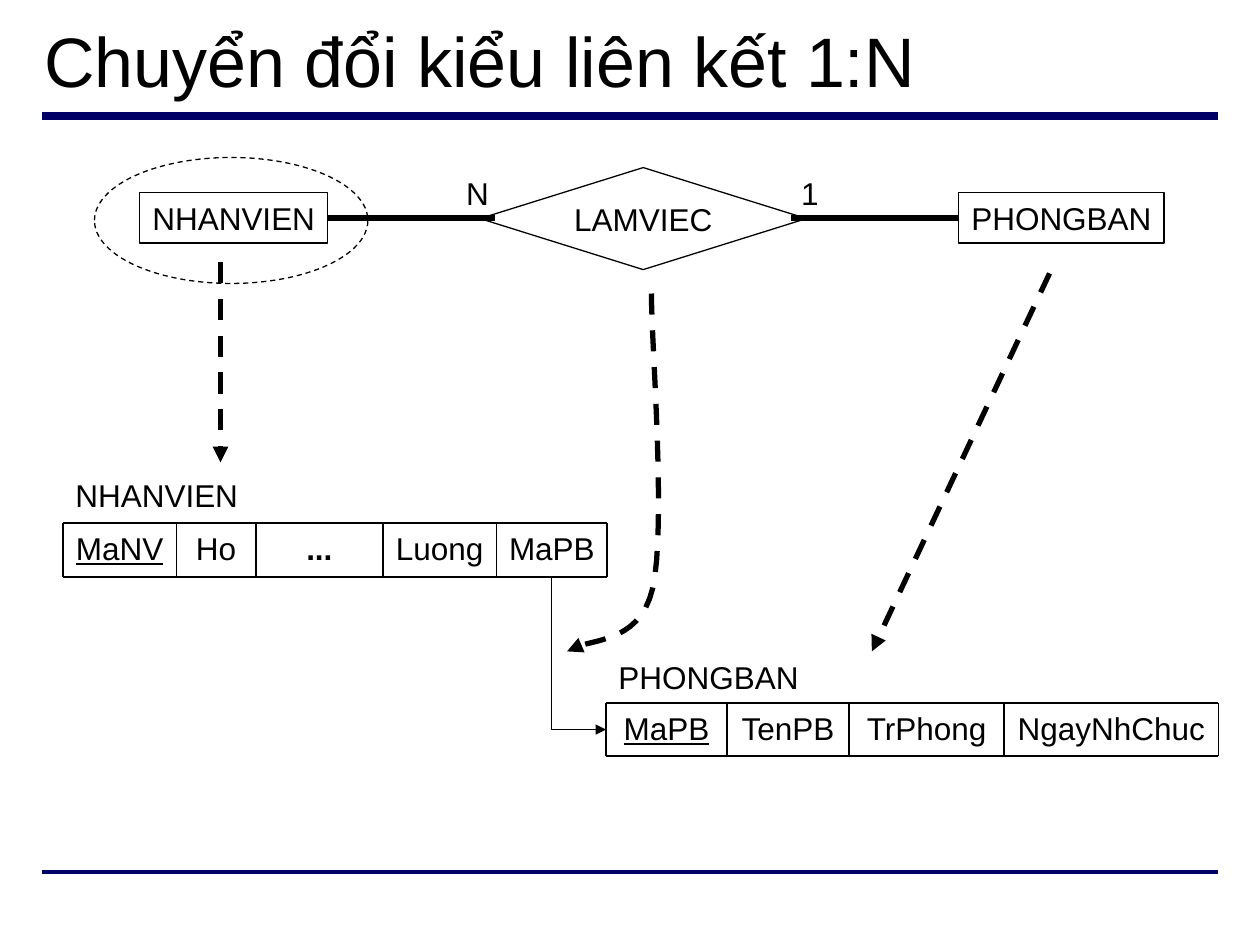
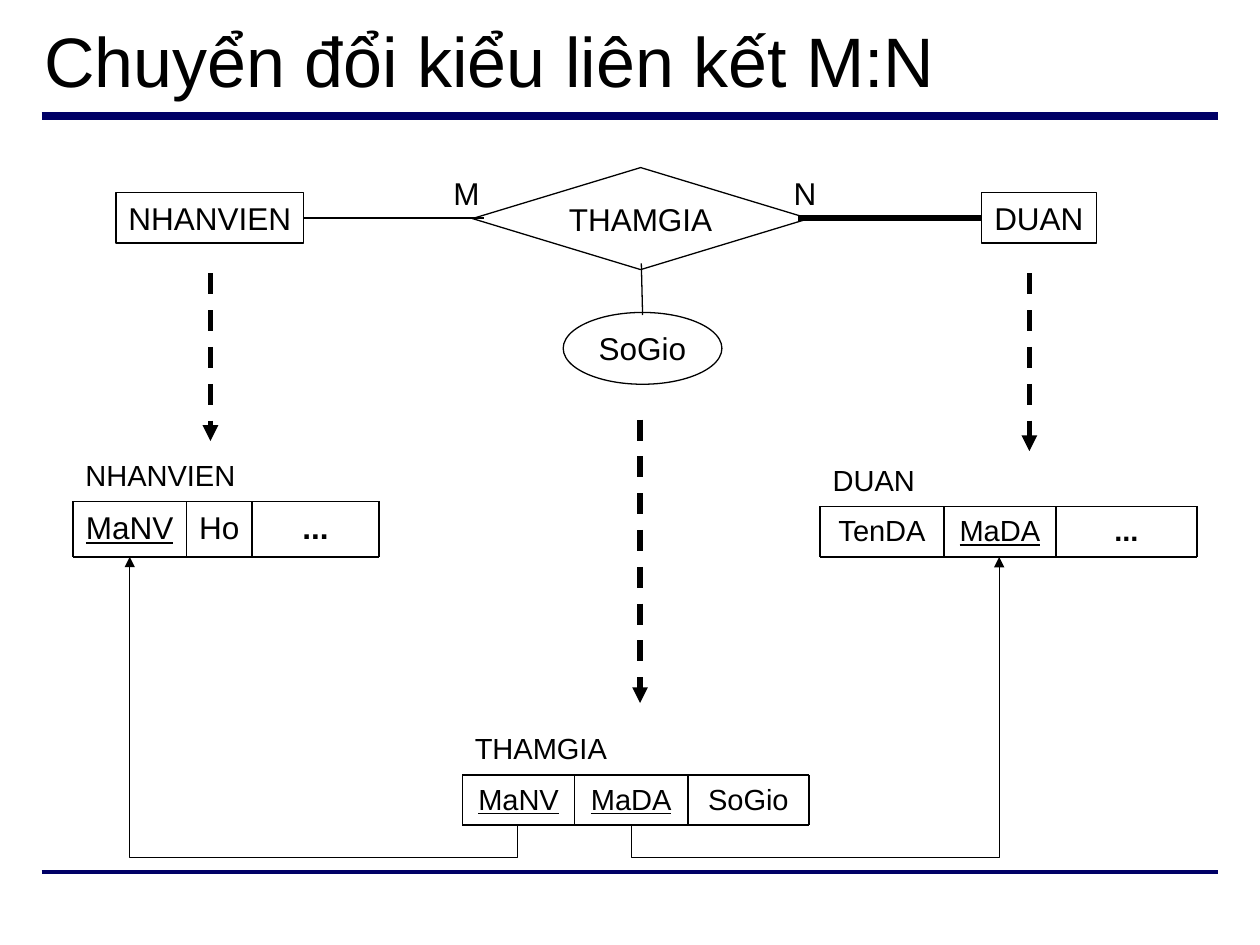
"""Draw two slides that map 1:N and M:N relationships to relation schemas."""
from dataclasses import dataclass
from itertools import accumulate
from typing import NamedTuple

from lxml.etree import SubElement
from pptx import Presentation
from pptx.dml.color import RGBColor
from pptx.enum.dml import MSO_LINE
from pptx.enum.shapes import MSO_CONNECTOR, MSO_SHAPE
from pptx.enum.text import MSO_ANCHOR, MSO_AUTO_SIZE, PP_ALIGN
from pptx.oxml.ns import qn
from pptx.util import Inches, Pt

WIDE, HIGH = Inches(10), Inches(7.5)
COLS, ROWS = 100, 75
FONT, INK, NAVY, WHITE = "Arial", "000000", "000066", "FFFFFF"
THIN, EDGE, THICK = 0.75, 1, 3
BOX, GEM, OVAL = MSO_SHAPE.RECTANGLE, MSO_SHAPE.DIAMOND, MSO_SHAPE.OVAL
TOP, LEFT, BOTTOM, RIGHT = range(4)
STEPS = 16


class Spot(NamedTuple):
    x: float
    y: float


class Area(NamedTuple):
    x: float
    y: float
    w: float
    h: float


class Cell(NamedTuple):
    text: str
    wide: float
    key: bool = False


@dataclass
class Node:
    kind: MSO_SHAPE
    area: Area
    text: str = ""
    fill: str = ""
    dash: bool = False


@dataclass
class Link:
    start: Spot
    end: Spot
    width: float = THICK
    color: str = INK
    dash: bool = False
    arrow: bool = False


@dataclass
class Schema:
    name: str
    spot: Spot
    high: float
    cells: tuple[Cell, ...]
    tag: Area
    size: float = 18
    head: float = 18


@dataclass
class Elbow:
    start: Spot
    end: Spot
    bend: float | None = None


def col(n: float) -> int:
    return round(WIDE * n / COLS)


def row(n: float) -> int:
    return round(HIGH * n / ROWS)


def frame(area: Area) -> tuple[int, int, int, int]:
    return col(area.x), row(area.y), col(area.w), row(area.h)


def paint(part, color: str) -> None:
    part.rgb = RGBColor.from_string(color)


def write(shape, text: str, size: float = 18, align=PP_ALIGN.LEFT,
          anchor=MSO_ANCHOR.TOP, wrap: bool = True, under: bool = False) -> None:
    body = shape.text_frame
    body.word_wrap, body.auto_size = wrap, MSO_AUTO_SIZE.NONE
    body.vertical_anchor = anchor
    par = body.paragraphs[0]
    par.alignment = align
    run = par.add_run()
    run.text = text
    run.font.name, run.font.size = FONT, Pt(size)
    run.font.bold, run.font.underline = text == "...", under
    paint(run.font.color, INK)


def label(slide, area: Area, text: str, **style) -> None:
    write(slide.shapes.add_textbox(*frame(area)), text, **style)


def stroke(shape, width: float, color: str = INK, dash: bool = False,
           arrow: bool = False) -> None:
    shape.line.width = Pt(width)
    shape.line.fill.solid()
    paint(shape.line.color, color)
    if dash:
        shape.line.dash_style = MSO_LINE.DASH
    if arrow:
        line = shape.element.spPr.find(qn("a:ln"))
        SubElement(line, qn("a:tailEnd"), type="triangle")


def wire(slide, link: Link, kind=MSO_CONNECTOR.STRAIGHT):
    line = slide.shapes.add_connector(
        kind, col(link.start.x), row(link.start.y), col(link.end.x), row(link.end.y))
    stroke(line, link.width, link.color, link.dash, link.arrow)
    SubElement(line.element.spPr, qn("a:effectLst"))
    return line


def turn(slide, bend: Elbow) -> None:
    a, b = bend.start, bend.end
    mid = Spot((a.x + b.x) / 2, (a.y + b.y) / 2)
    ends = [Spot(mid.x + mid.y - p.y, mid.y + p.x - mid.x) for p in (a, b)]
    line = wire(slide, Link(*ends, THIN, arrow=True), MSO_CONNECTOR.ELBOW)
    line.rotation = 270
    geom = line.element.spPr.find(qn("a:prstGeom"))
    if bend.bend is None:
        geom.set("prst", "bentConnector2")
    else:
        guides = geom.find(qn("a:avLst"))
        SubElement(guides, qn("a:gd"), name="adj1",
                   fmla=f"val {round(bend.bend * 100000)}")


def place(slide, node: Node):
    shape = slide.shapes.add_shape(node.kind, *frame(node.area))
    shape.shadow.inherit = False
    if node.fill:
        shape.fill.solid()
        paint(shape.fill.fore_color, node.fill)
    else:
        shape.fill.background()
    stroke(shape, THIN, dash=node.dash)
    if node.text:
        write(shape, node.text, align=PP_ALIGN.CENTER,
              anchor=MSO_ANCHOR.MIDDLE, wrap=False)
    return shape


def table(slide, plan: Schema) -> None:
    x, y = plan.spot
    low = y + plan.high
    edges = list(accumulate((c.wide for c in plan.cells), initial=x))
    for cell, left in zip(plan.cells, edges):
        label(slide, Area(left, y, cell.wide, plan.high), cell.text,
              size=plan.size, align=PP_ALIGN.CENTER, under=cell.key)
    label(slide, plan.tag, plan.name, size=plan.head)
    rules = [(Spot(x, n), Spot(edges[-1], n)) for n in (y, low)]
    rules += [(Spot(n, y), Spot(n, low)) for n in edges]
    for start, end in rules:
        wire(slide, Link(start, end, EDGE))


def curve(slide, start: Spot, bends: list[tuple[Spot, Spot, Spot]]) -> None:
    dots, last = [], start
    for bend in bends:
        pts = (last, *bend)
        for t in (n / STEPS for n in range(1, STEPS + 1)):
            mix = ((1 - t) ** 3, 3 * t * (1 - t) ** 2, 3 * t * t * (1 - t), t ** 3)
            dots.append((col(sum(m * p.x for m, p in zip(mix, pts))),
                         row(sum(m * p.y for m, p in zip(mix, pts)))))
        last = bend[-1]
    pen = slide.shapes.build_freeform(col(start.x), row(start.y))
    pen.add_line_segments(dots, close=False)
    shape = pen.convert_to_shape()
    shape.shadow.inherit = False
    shape.fill.background()
    stroke(shape, THICK, dash=True, arrow=True)


def begin(deck, text: str):
    slide = deck.slides.add_slide(deck.slide_layouts.get_by_name("Title Only"))
    title = slide.shapes.title
    title.left, title.top, title.width, title.height = frame(Area(2.5, 1.8, 95, 5.8))
    write(title, text, size=40, anchor=MSO_ANCHOR.MIDDLE)
    return slide


def bands(deck, slide) -> None:
    tree = deck.slide_master.shapes.element
    for mark, (y, width) in enumerate(((9.2, 4.5), (69.2, 2.25)), 101):
        band = wire(slide, Link(Spot(3.3, y), Spot(96.7, y), width, NAVY))
        band.element.nvCxnSpPr.cNvPr.set("id", str(mark))
        tree.append(band.element)


def model(slide, nodes: tuple[Node, Node, Node], marks: tuple[tuple[Area, str], ...],
          inner: tuple[float, float], first: float) -> None:
    one, _, two = [place(slide, node) for node in nodes]
    for area, text in marks:
        label(slide, area, text, wrap=False)
    y = 17.3
    near, far = (Spot(x, y) for x in inner)
    a, b = nodes[0].area, nodes[2].area
    wire(slide, Link(Spot(a.x + a.w, y), near, first)).begin_connect(one, RIGHT)
    wire(slide, Link(far, Spot(b.x, y))).end_connect(two, LEFT)


def flows(slide, ends: list[tuple[Spot, Spot]]) -> None:
    for start, end in ends:
        wire(slide, Link(start, end, dash=True, arrow=True))


def single(slide) -> None:
    table(slide, Schema(
        "NHANVIEN", Spot(5, 41.5), 4.3,
        (Cell("MaNV", 9, True), Cell("Ho", 6.3), Cell("...", 10.1),
         Cell("Luong", 9), Cell("MaPB", 8.8)), Area(5, 37.3, 25.4, 4.2)))
    table(slide, Schema(
        "PHONGBAN", Spot(48.1, 55.8), 4.2,
        (Cell("MaPB", 9.6, True), Cell("TenPB", 9.7), Cell("TrPhong", 12.3),
         Cell("NgayNhChuc", 17)), Area(48.1, 51.7, 26.5, 4.2)))
    model(slide, (Node(BOX, Area(11.1, 15.3, 14.9, 4), "NHANVIEN"),
                  Node(GEM, Area(38.1, 13.3, 25.9, 8.1), "LAMVIEC"),
                  Node(BOX, Area(76.1, 15.3, 16.3, 4), "PHONGBAN")),
          ((Area(36, 13.3, 3.8, 4), "N"), (Area(62.6, 13.3, 3.4, 4), "1")),
          (39.3, 62.8), THICK)
    flows(slide, [(Spot(17.5, 20.8), Spot(17.5, 36.7)),
                  (Spot(83.3, 21.7), Spot(69.2, 51.7))])
    place(slide, Node(OVAL, Area(7.5, 12.5, 21.7, 10), dash=True))
    turn(slide, Elbow(Spot(43.8, 45.8), Spot(48.1, 57.9)))
    curve(slide, Spot(51.7, 23.3),
          [(Spot(51.7, 27.2), Spot(52.9, 41.9), Spot(51.8, 46.7)),
           (Spot(50.7, 51.4), Spot(46.4, 50.6), Spot(45, 51.7))])


def many(slide) -> None:
    model(slide, (Node(BOX, Area(9.2, 15.3, 14.9, 4), "NHANVIEN"),
                  Node(GEM, Area(37.5, 13.3, 26.7, 8.1), "THAMGIA"),
                  Node(BOX, Area(77.9, 15.3, 9.1, 4), "DUAN")),
          ((Area(35, 13.3, 4.1, 4), "M"), (Area(62, 13.3, 3.8, 4), "N")),
          (38.4, 63.3), THIN)
    table(slide, Schema(
        "NHANVIEN", Spot(5.8, 39.8), 4.4,
        (Cell("MaNV", 9, True), Cell("Ho", 5.2), Cell("...", 10.1)),
        Area(5.8, 35.8, 24.3, 4), head=16.6))
    table(slide, Schema(
        "DUAN", Spot(65.1, 40.2), 4,
        (Cell("TenDA", 9.8), Cell("MaDA", 8.9, True), Cell("...", 11.2)),
        Area(65.1, 36.2, 29.9, 4), 16.6, 16.6))
    table(slide, Schema(
        "THAMGIA", Spot(36.7, 61.5), 4,
        (Cell("MaNV", 8.9, True), Cell("MaDA", 9, True), Cell("SoGio", 9.6)),
        Area(36.7, 57.5, 22, 4), 16.6, 16.6))
    flows(slide, [(Spot(16.7, 21.7), Spot(16.7, 35)),
                  (Spot(81.7, 21.7), Spot(81.7, 35.8)),
                  (Spot(50.8, 33.3), Spot(50.8, 55.8))])
    place(slide, Node(OVAL, Area(44.7, 24.8, 12.6, 5.7), "SoGio", WHITE))
    wire(slide, Link(Spot(50.9, 20.9), Spot(51, 25), THIN))
    for start, end in ((41.1, 10.3), (50.1, 79.3)):
        turn(slide, Elbow(Spot(start, 65.5), Spot(end, 44.2), -0.12))


def main() -> None:
    deck = Presentation()
    deck.slide_width, deck.slide_height = WIDE, HIGH
    first = begin(deck, "Chuyển đổi kiểu liên kết 1:N")
    bands(deck, first)
    single(first)
    many(begin(deck, "Chuyển đổi kiểu liên kết M:N"))
    deck.save("out.pptx")


if __name__ == "__main__":
    main()
